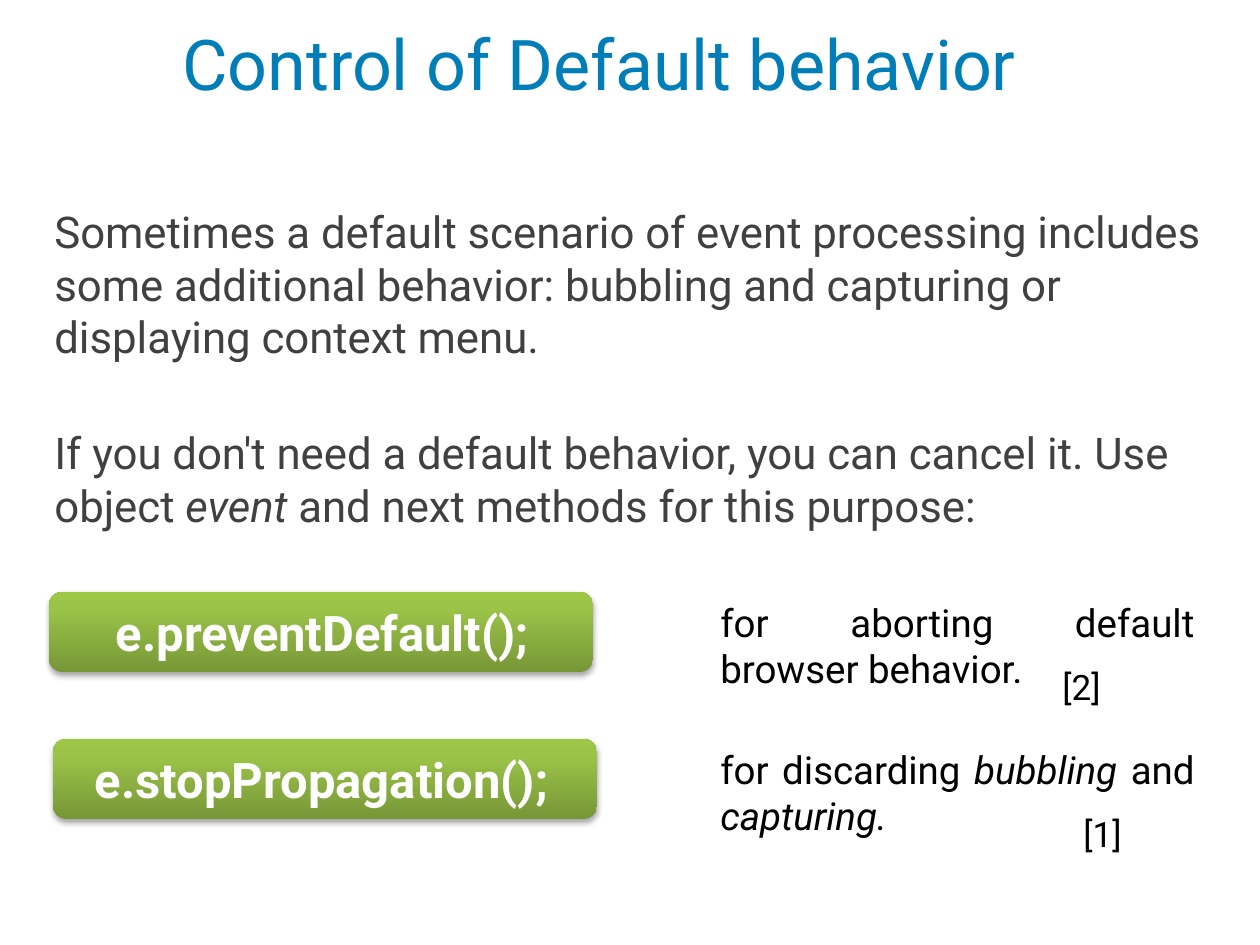
from lxml import etree
from pptx import Presentation
from pptx import util as u
from pptx.dml.color import RGBColor
from pptx.enum import shapes, text
from pptx.oxml import ns

EMU_PER_PX = 914400 / 126
FONT = "Roboto"
BLUE = RGBColor(0x01, 0x7E, 0xB8)
GRAY = RGBColor(0x40, 0x40, 0x40)
BLACK = RGBColor(0x00, 0x00, 0x00)
WHITE = RGBColor(0xFF, 0xFF, 0xFF)
GREEN_STOPS = [
    (0, RGBColor(0x77, 0x97, 0x37)),
    (80, RGBColor(0x9B, 0xC3, 0x48)),
    (100, RGBColor(0x9D, 0xC7, 0x46)),
]


def px(length):
    return u.Emu(round(length * EMU_PER_PX))


def write_runs(paragraph, runs, size, color, bold=False):
    """Fill a paragraph from (words, italic) pairs."""
    for words, italic in runs:
        run = paragraph.add_run()
        run.text = words
        if italic:
            run.font.italic = True
    paragraph.font.name = FONT
    paragraph.font.size = u.Pt(size)
    paragraph.font.bold = bold
    paragraph.font.color.rgb = color


def add_text(slide, box, runs, size, color, align=text.PP_ALIGN.LEFT):
    text_box = slide.shapes.add_textbox(*map(px, box))
    text_box.text_frame.word_wrap = True
    paragraph = text_box.text_frame.paragraphs[0]
    paragraph.alignment = align
    write_runs(paragraph, runs, size, color)


def add_child(parent, tag, **attributes):
    return etree.SubElement(parent, ns.qn(tag), attributes)


def add_color(parent, color):
    return add_child(parent, "a:srgbClr", val=str(color))


def style_button(button):
    """Give a button a three-stop gradient and a soft shadow below."""
    button.line.fill.background()
    button.shadow.inherit = False
    properties = button._element.spPr

    gradient = etree.Element(ns.qn("a:gradFill"), rotWithShape="1")
    stops = add_child(gradient, "a:gsLst")
    for percent, color in GREEN_STOPS:
        add_color(add_child(stops, "a:gs", pos=str(percent * 1000)), color)
    add_child(gradient, "a:lin", ang=str(270 * 60000), scaled="0")
    properties.find(ns.qn("a:ln")).addprevious(gradient)

    shadow = add_child(
        properties.find(ns.qn("a:effectLst")), "a:outerShdw",
        blurRad=str(u.Pt(3.1)), dist=str(u.Pt(1.8)),
        dir=str(90 * 60000), rotWithShape="0")
    add_child(add_color(shadow, BLACK), "a:alpha", val="35000")


def add_button(slide, box, label, indent):
    button = slide.shapes.add_shape(
        shapes.MSO_SHAPE.ROUNDED_RECTANGLE, *map(px, box))
    style_button(button)
    frame = button.text_frame
    frame.margin_left = px(indent)
    frame.vertical_anchor = text.MSO_ANCHOR.MIDDLE
    paragraph = frame.paragraphs[0]
    paragraph.alignment = text.PP_ALIGN.LEFT
    write_runs(paragraph, [(label, False)], 28, WHITE, bold=True)


def add_title(slide, box, words):
    title = slide.shapes.title
    title.left, title.top, title.width, title.height = map(px, box)
    title.text_frame.vertical_anchor = text.MSO_ANCHOR.MIDDLE
    paragraph = title.text_frame.paragraphs[0]
    paragraph.alignment = text.PP_ALIGN.CENTER
    write_runs(paragraph, [(words, False)], 40, BLUE)


def add_method_row(slide, left, top, method, indent, purpose, mark, mark_left):
    """Place a method button, its purpose and its reference mark."""
    add_button(slide, (left, top, 544, 80), method, indent)
    add_text(slide, (708, top + 1, 499, 100), purpose, 22, BLACK,
             text.PP_ALIGN.JUSTIFY)
    add_text(slide, (mark_left, top + 67, 84, 63), [(mark, False)], 20, BLACK)


def main():
    presentation = Presentation()
    presentation.slide_width = px(1260)
    presentation.slide_height = px(945)
    slide = presentation.slides.add_slide(presentation.slide_layouts[5])

    add_title(slide, (32, 0, 1134, 126), "Control of Default behavior")
    add_text(slide, (42, 199, 1187, 168), [
        ("Sometimes a default scenario of event processing includes some "
         "additional behavior: bubbling and capturing or displaying "
         "context menu.", False),
    ], 25, GRAY)
    add_text(slide, (42, 420, 1187, 116), [
        ("If you don't need a default behavior, you can cancel it. "
         "Use object ", False),
        ("event", True),
        (" and next methods for this purpose:", False),
    ], 25, GRAY)

    add_method_row(slide, 49, 592, "e.preventDefault();", 63, [
        ("for aborting default browser behavior.", False),
    ], "[2]", 1050)
    add_method_row(slide, 53, 739, "e.stopPropagation();", 38, [
        ("for discarding ", False),
        ("bubbling", True),
        (" and ", False),
        ("capturing.", True),
    ], "[1]", 1071)

    presentation.save("out.pptx")


if __name__ == "__main__":
    main()
